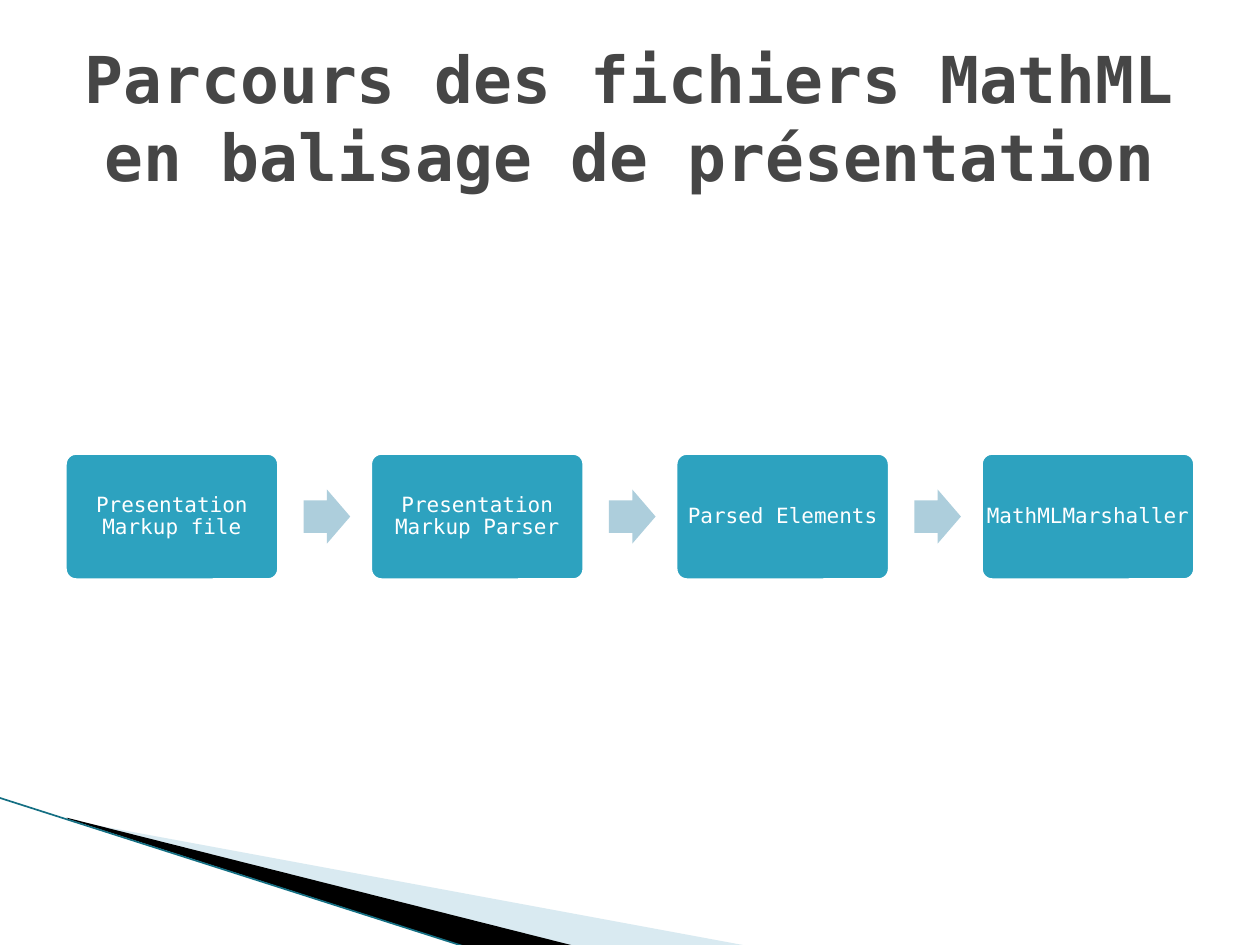
from dataclasses import dataclass

from lxml import etree
from pptx import Presentation
from pptx.dml.color import RGBColor
from pptx.enum.shapes import MSO_CONNECTOR, MSO_SHAPE
from pptx.enum.text import MSO_ANCHOR, PP_ALIGN
from pptx.oxml.ns import qn
from pptx.util import Inches, Pt

FONT = "DejaVu Sans Mono"
COLORS = {
    "title": "464646",
    "step": "2DA2BF",
    "arrow": "ADCEDC",
    "white": "FFFFFF",
    "pale": "A0CBDC",
    "black": "000000",
    "edge": "146F83",
}
STEPS = [
    "Presentation Markup file",
    "Presentation Markup Parser",
    "Parsed Elements",
    "MathMLMarshaller",
]
STEP_LEFT, STEP_TOP, STEP_WIDTH, STEP_HEIGHT = 0.5, 3.58, 1.73, 1.04
STEP_PITCH = (9 - STEP_WIDTH) / (len(STEPS) - 1)
ARROW_OFFSET, ARROW_WIDTH, ARROW_HEIGHT = 1.91, 0.37, 0.43


@dataclass
class Wedge:
    """A filled outline of the corner decoration."""
    points: list[tuple[float, float]]
    color: str
    opacity: int = 100


WEDGES = [
    Wedge([(0.55, 6.51), (5.95, 7.51), (4.56, 7.51), (0.55, 6.5)], "pale", 40),
    Wedge([(0.53, 6.49), (4.57, 7.51), (3.72, 7.52), (0.54, 6.5)], "black"),
]


def rgb(name: str) -> RGBColor:
    """Look up a named colour."""
    return RGBColor.from_string(COLORS[name])


def paint(shape, color: str) -> None:
    """Give a shape a flat fill without outline or shadow."""
    shape.shadow.inherit = False
    shape.fill.solid()
    shape.fill.fore_color.rgb = rgb(color)
    shape.line.fill.background()


def write(shape, text: str, size: float, color: str, inset: float,
          bold: bool = False, spacing: float = 1.0) -> None:
    """Write one centred paragraph into a shape."""
    frame = shape.text_frame
    frame.word_wrap = True
    frame.vertical_anchor = MSO_ANCHOR.MIDDLE
    frame.margin_left = frame.margin_right = Inches(inset)
    frame.margin_top = frame.margin_bottom = Inches(0.05)
    paragraph = frame.paragraphs[0]
    paragraph.text = text
    paragraph.alignment = PP_ALIGN.CENTER
    paragraph.line_spacing = spacing
    font = paragraph.font
    font.name, font.size, font.bold = FONT, Pt(size), bold
    font.color.rgb = rgb(color)


def add_wedge(shapes, wedge: Wedge) -> None:
    """Draw one wedge of the corner decoration."""
    start, *rest = [(Inches(x), Inches(y)) for x, y in wedge.points]
    builder = shapes.build_freeform(*start)
    builder.add_line_segments(rest, close=True)
    outline = builder.convert_to_shape()
    paint(outline, wedge.color)
    if wedge.opacity < 100:
        color = outline.fill._xPr.find(qn("a:solidFill"))[0]
        etree.SubElement(color, qn("a:alpha"), val=str(wedge.opacity * 1000))


def add_edge(shapes) -> None:
    """Draw the thin line along the corner decoration."""
    edge = shapes.add_connector(MSO_CONNECTOR.STRAIGHT, Inches(-0.01),
                                Inches(6.33), Inches(3.71), Inches(7.52))
    edge.line.color.rgb = rgb("edge")
    edge.line.width = Pt(0.95)
    etree.SubElement(edge._element.spPr, qn("a:effectLst"))


def add_step(shapes, left: float, text: str) -> None:
    """Draw one step of the process."""
    step = shapes.add_shape(MSO_SHAPE.ROUNDED_RECTANGLE, Inches(left),
                            Inches(STEP_TOP), Inches(STEP_WIDTH),
                            Inches(STEP_HEIGHT))
    step.adjustments[0] = 0.1
    paint(step, "step")
    step.line.color.rgb = rgb("white")
    step.line.width = Pt(4.33)
    write(step, text, 12, "white", inset=0.01, spacing=0.9)


def add_arrow(shapes, left: float) -> None:
    """Draw the arrow that leads to the next step."""
    top = STEP_TOP + (STEP_HEIGHT - ARROW_HEIGHT) / 2
    arrow = shapes.add_shape(MSO_SHAPE.RIGHT_ARROW, Inches(left), Inches(top),
                             Inches(ARROW_WIDTH), Inches(ARROW_HEIGHT))
    arrow.adjustments[0] = 0.6
    arrow.adjustments[1] = 0.5
    paint(arrow, "arrow")


def add_title(slide) -> None:
    """Write the heading of the slide."""
    title = slide.shapes.add_textbox(Inches(0.5), Inches(0.3), Inches(9),
                                     Inches(1.25))
    write(title, "Parcours des fichiers MathML en balisage de présentation",
          36.9, "title", inset=0.1, bold=True)


def main() -> None:
    """Build and save the slide."""
    deck = Presentation()
    deck.slide_width, deck.slide_height = Inches(10), Inches(7.5)
    slide = deck.slides.add_slide(deck.slide_layouts[6])
    for wedge in WEDGES:
        add_wedge(slide.shapes, wedge)
    add_edge(slide.shapes)
    for index, text in enumerate(STEPS):
        left = STEP_LEFT + index * STEP_PITCH
        add_step(slide.shapes, left, text)
        if index < len(STEPS) - 1:
            add_arrow(slide.shapes, left + ARROW_OFFSET)
    add_title(slide)
    deck.save("out.pptx")


main()
